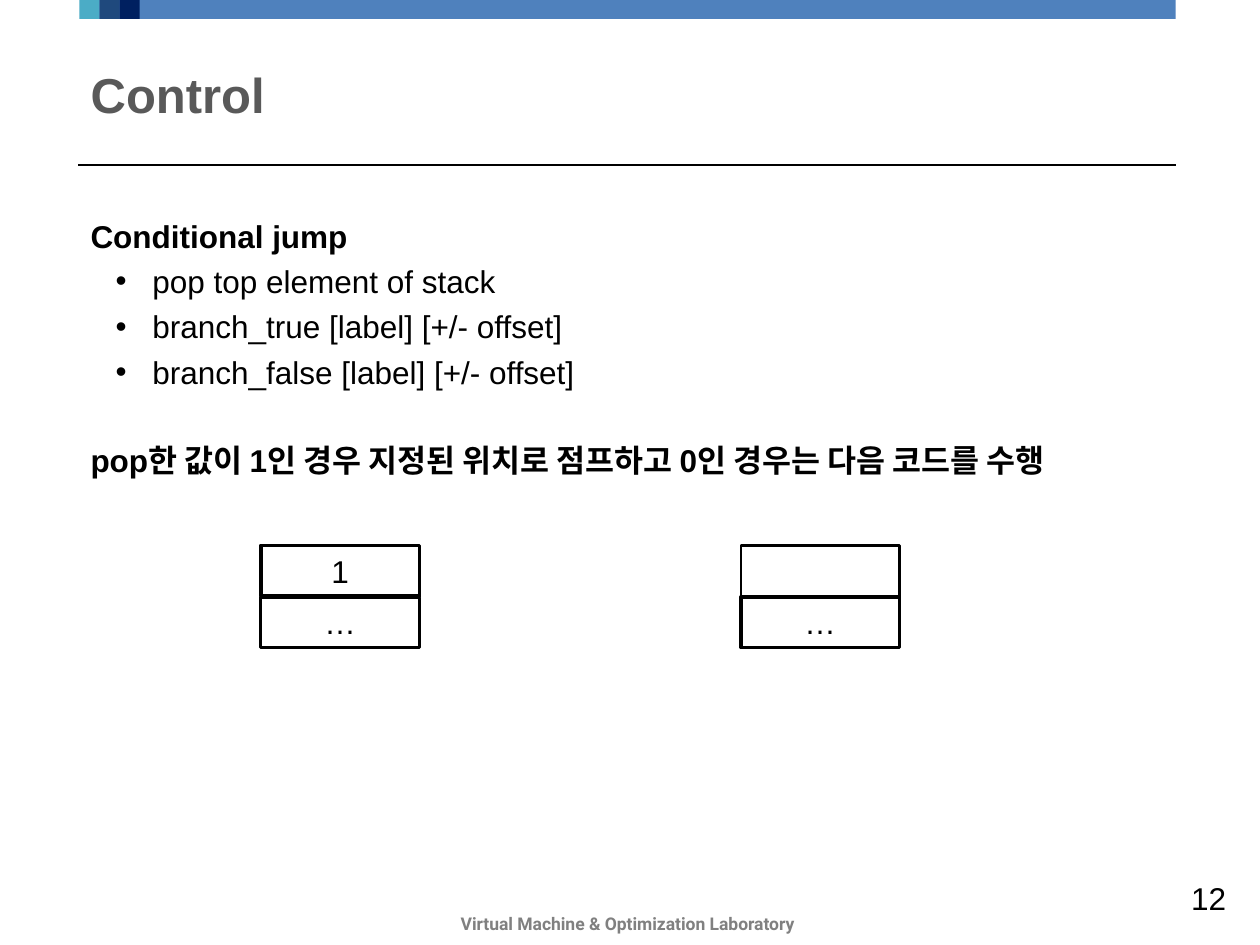
from dataclasses import dataclass

from lxml import etree
from pptx import Presentation
from pptx.dml.color import RGBColor
from pptx.enum.shapes import MSO_CONNECTOR, MSO_SHAPE
from pptx.enum.text import MSO_ANCHOR, PP_ALIGN
from pptx.oxml.ns import qn
from pptx.util import Inches, Pt

LEFT, RIGHT = 0.62, 9.33
WIDTH = RIGHT - LEFT


@dataclass
class Cell:
    """One stack cell: position, text and outline width."""
    left: float
    top: float
    text: str
    outline: float


@dataclass
class BodyLine:
    """One body paragraph: text, whether it is a bullet, and space before."""
    text: str
    bullet: bool = False
    space_before: float = 4.3


def color(value: str) -> RGBColor:
    """Turn a hex string into a colour."""
    return RGBColor.from_string(value)


def format_paragraph(paragraph, text: str, size: float, value: str = "000000",
                     bold: bool = False, align=PP_ALIGN.LEFT, name: str = "Arial") -> None:
    """Write a paragraph and set its font and alignment."""
    paragraph.text = text
    paragraph.alignment = align
    font = paragraph.font
    font.name, font.size, font.bold = name, Pt(size), bold
    font.color.rgb = color(value)


def add_rectangle(slide, left: float, top: float, width: float, height: float, fill: str):
    """Add a plain filled rectangle without outline or shadow."""
    shape = slide.shapes.add_shape(MSO_SHAPE.RECTANGLE, Inches(left), Inches(top),
                                   Inches(width), Inches(height))
    shape.shadow.inherit = False
    shape.fill.solid()
    shape.fill.fore_color.rgb = color(fill)
    shape.line.fill.background()
    return shape


def add_text_box(slide, left: float, top: float, width: float, height: float):
    """Add a wrapping text box and return its text frame."""
    frame = slide.shapes.add_textbox(Inches(left), Inches(top),
                                     Inches(width), Inches(height)).text_frame
    frame.word_wrap = True
    return frame


def add_rule(slide, top: float) -> None:
    """Add the thin line below the title."""
    rule = slide.shapes.add_connector(MSO_CONNECTOR.STRAIGHT, Inches(LEFT), Inches(top),
                                      Inches(RIGHT), Inches(top))
    rule.line.color.rgb = color("000000")
    rule.line.width = Pt(0.75)
    etree.SubElement(rule._element.spPr, qn("a:effectLst"))


def add_bullet(paragraph) -> None:
    """Give a paragraph a hanging bullet."""
    properties = paragraph._p.get_or_add_pPr()
    properties.set("marL", str(Inches(0.49)))
    properties.set("indent", str(Inches(-0.29)))
    etree.SubElement(properties, qn("a:buFont")).set("typeface", "Arial")
    etree.SubElement(properties, qn("a:buChar")).set("char", "•")


def add_body(slide, lines: list[BodyLine]) -> None:
    """Add the body text."""
    frame = add_text_box(slide, LEFT, 1.67, WIDTH, 5.33)
    for index, line in enumerate(lines):
        paragraph = frame.add_paragraph() if index else frame.paragraphs[0]
        format_paragraph(paragraph, line.text, 18, bold=not line.bullet)
        paragraph.space_before = Pt(line.space_before)
        if line.bullet:
            paragraph.level = 1
            add_bullet(paragraph)


def add_cell(slide, cell: Cell) -> None:
    """Add one outlined stack cell."""
    shape = add_rectangle(slide, cell.left, cell.top, 1.26, 0.4, "FFFFFF")
    shape.line.color.rgb = color("000000")
    shape.line.width = Pt(cell.outline)
    if cell.text:
        frame = shape.text_frame
        frame.vertical_anchor = MSO_ANCHOR.TOP
        format_paragraph(frame.paragraphs[0], cell.text, 18, align=PP_ALIGN.CENTER)


presentation = Presentation()
presentation.slide_width, presentation.slide_height = Inches(10), Inches(7.5)
slide = presentation.slides.add_slide(presentation.slide_layouts[5])

number = add_text_box(slide, RIGHT, 6.93, 0.5, 0.4)
number.word_wrap = False
number.vertical_anchor = MSO_ANCHOR.MIDDLE
format_paragraph(number.paragraphs[0], "12", 18, align=PP_ALIGN.RIGHT)

add_rectangle(slide, 0.65, -0.01, 8.68, 0.16, "4F81BD")
add_rule(slide, 1.31)
for index, fill in enumerate(["4BACC6", "1F497D", "002060"]):
    add_rectangle(slide, 0.63 + 0.16 * index, -0.01, 0.16, 0.16, fill)

footer = add_text_box(slide, 2.93, 7.2, 4.1, 0.27)
format_paragraph(footer.paragraphs[0], "Virtual Machine & Optimization Laboratory", 10,
                 "808080", True, PP_ALIGN.CENTER, "Roboto")

title = slide.shapes.title
title.left, title.top = Inches(LEFT), Inches(0.37)
title.width, title.height = Inches(WIDTH), Inches(0.75)
title.text_frame.vertical_anchor = MSO_ANCHOR.MIDDLE
format_paragraph(title.text_frame.paragraphs[0], "Control", 28, "595959", True)

add_body(slide, [
    BodyLine("Conditional jump"),
    BodyLine("pop top element of stack", True),
    BodyLine("branch_true [label] [+/- offset]", True),
    BodyLine("branch_false [label] [+/- offset]", True),
    BodyLine("pop한 값이 1인 경우 지정된 위치로 점프하고 0인 경우는 다음 코드를 수행",
             space_before=29),
])

BEFORE, AFTER = 2.07, 5.88
UPPER, LOWER = 4.33, 4.74
for cell in [
    Cell(BEFORE, LOWER, "…", 1.5),
    Cell(BEFORE, UPPER, "1", 2),
    Cell(AFTER, LOWER, "…", 2),
    Cell(AFTER, UPPER, "", 1.5),
]:
    add_cell(slide, cell)

presentation.save("out.pptx")
